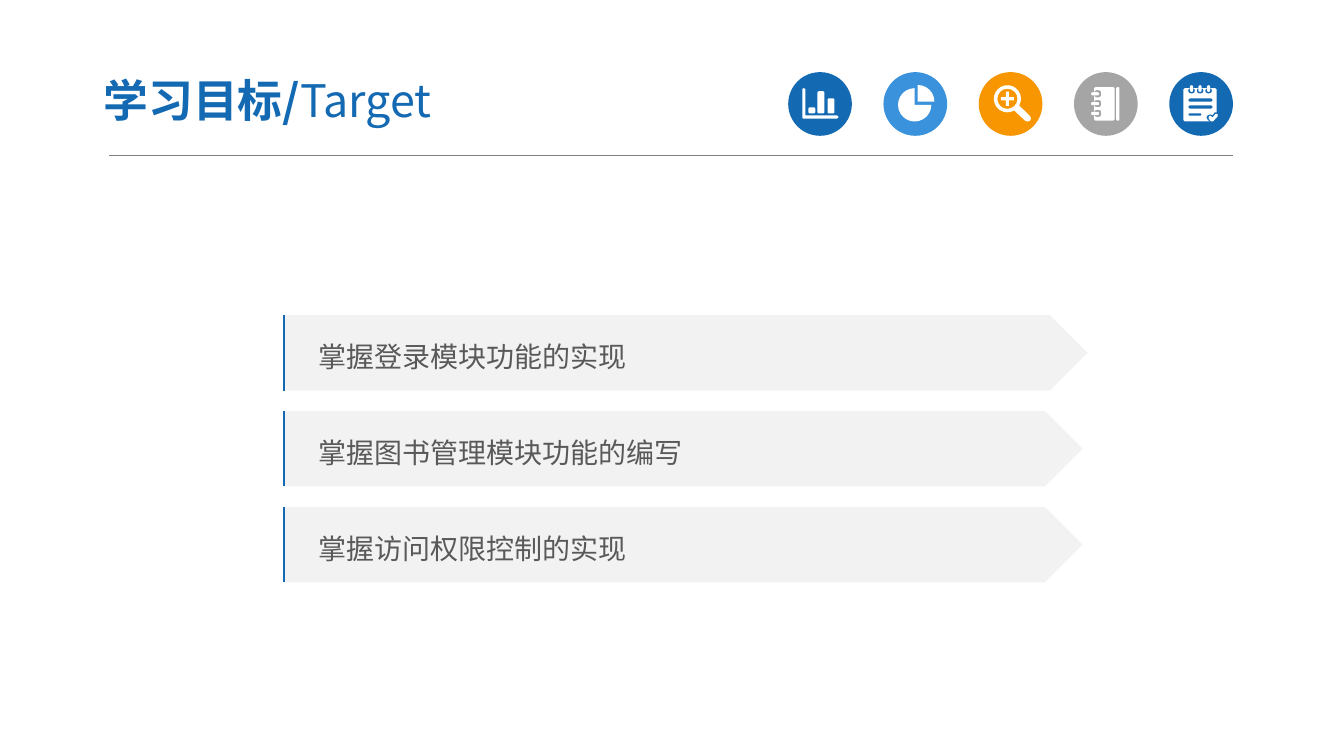
from math import cos, radians, sin

from lxml import etree
from pptx import Presentation
from pptx import util as u
from pptx.dml.color import RGBColor
from pptx.enum import shapes, text
from pptx.oxml.ns import qn

FONT = "Noto Sans CJK SC"
COLOURS = {"blue": "1369B2", "sky": "3992DB", "orange": "F79600", "grey": "A5A5A5",
           "white": "FFFFFF", "panel": "F2F2F2", "body": "595959", "rule": "7F7F7F"}
TITLE = [("学习目标/", True), ("Target", False)]
GOALS = [("掌握登录模块功能的实现", 574.5), ("掌握图书管理模块功能的编写", 571), ("掌握访问权限控制的实现", 571)]

ICON_LEFT, ICON_TOP, ICON_SIZE, ICON_STEP = 563, 51.5, 45.5, 68.05
GOAL_LEFT, GOAL_TOP, GOAL_HEIGHT, GOAL_STEP = 202.3, 225, 54, 68.5


def arc(x, y, radius, start, end, steps):
    angles = [radians(start + (end - start) * step / steps) for step in range(steps + 1)]
    return [(x + radius * cos(angle), y + radius * sin(angle)) for angle in angles]


def box(x, y, width, height, radius):
    right, bottom = x + width - radius, y + height - radius
    corners = [(right, bottom), (x + radius, bottom), (x + radius, y + radius), (right, y + radius)]
    return [point for turn, (a, b) in enumerate(corners)
            for point in arc(a, b, radius, 90 * turn, 90 * turn + 90, 2)]


AXES = [(10.1, 12), (11.2, 11.5), (12.3, 12), (12.3, 31), (35, 31), (36, 32.1), (35, 33.2), (10.8, 33.2), (10.1, 32.5)]
CHART = [AXES, box(14.4, 25.2, 5, 4.3, 1), box(20.9, 13.7, 5, 15.8, 1), box(28.1, 18.7, 5, 10.8, 1)]
PIE = [arc(22.3, 23.4, 11.9, 0, 270, 18) + [(22.3, 23.4)],
       arc(24.5, 21.1, 11.9, 270, 360, 6) + [(24.5, 21.1)]]
HANDLE = [(36.6, 31.4), (37.4, 33.2), (36.6, 34.8), (34.9, 35.4), (33.2, 34.8)]
PLUS = [(15.8, 18), (19.4, 18), (19.4, 14), (21.6, 14), (21.6, 18), (25.2, 18),
        (25.2, 20.2), (21.6, 20.2), (21.6, 24.2), (19.4, 24.2), (19.4, 20.2), (15.8, 20.2)]
MAGNIFIER = [arc(20.5, 19.1, 9.7, 60, 390, 20)[::-1] + arc(20.5, 19.1, 9.7, 60, 60, 1)[:1] + HANDLE[::-1],
             arc(20.5, 19.1, 7.2, 0, 360, 16), PLUS]
NOTEBOOK = [box(14.4, 10.8, 14.6, 23.8, 1), box(30.2, 10.8, 2.3, 23.8, 0.7)]
CHECK = [(34.6, 31.7), (31.3, 35.3), (29.8, 35.3), (28.1, 33.1),
         (28.4, 31.6), (29.5, 31.2), (31, 32.4), (33.1, 29.9), (34.6, 30)]
NOTEPAD = [[(10.1, 12.5), (11.2, 11.5), (32.8, 11.5), (33.9, 12.5), (33.9, 28.8), (32.4, 28.8), (31, 30.8),
            (29.5, 30.2), (27.4, 30.8), (26.6, 32.4), (27.2, 33.8), (28.8, 35.3), (11.2, 35.3), (10.1, 34.2)],
           box(13.7, 18.9, 17.3, 2.3, 1.1), box(13.7, 23.8, 17.3, 2.3, 1.1), box(13.7, 29.5, 9.4, 1.6, 0.8), CHECK]
for ring in range(3):
    NOTEBOOK += [box(14.4, 13 + 7 * ring, 5, 5, 1.5), box(12.2, 14.4 + 7 * ring, 5.8, 2.3, 1.1)]
    NOTEPAD += [box(13.6 + 6.1 * ring, 11.5, 4.7, 3.7, 1.5), box(14.8 + 6.1 * ring, 9.4, 2.3, 4.8, 1.1)]
ICONS = [("blue", CHART), ("sky", PIE), ("orange", MAGNIFIER), ("grey", NOTEBOOK), ("blue", NOTEPAD)]


def colour(name):
    return RGBColor.from_string(COLOURS[name])


def paint(shape, fill):
    shape.shadow.inherit = False
    shape.fill.solid()
    shape.fill.fore_color.rgb = colour(fill)
    shape.line.fill.background()


def add_part(page, kind, left, top, width, height, fill):
    shape = page.shapes.add_shape(kind, u.Pt(left), u.Pt(top), u.Pt(width), u.Pt(height))
    paint(shape, fill)
    return shape


def add_outline(page, left, top, contours, close=True):
    placed = [[(u.Pt(left + x), u.Pt(top + y)) for x, y in contour] for contour in contours]
    builder = page.shapes.build_freeform(*placed[0][0])
    for index, points in enumerate(placed):
        if index:
            builder.move_to(*points[0])
        builder.add_line_segments(points[1:], close=close)
    return builder.convert_to_shape()


def add_rule(page):
    rule = page.shapes.add_connector(shapes.MSO_CONNECTOR.STRAIGHT, u.Pt(78), u.Pt(111.3), u.Pt(880.5), u.Pt(111.3))
    rule.line.color.rgb = colour("rule")
    rule.line.width = u.Pt(0.5)
    etree.SubElement(rule._element.spPr, qn("a:effectLst"))


def set_font(para, size, name):
    para.font.size = u.Pt(size)
    para.font.color.rgb = colour(name)
    para.font.name = FONT
    latin = para.font._element.find(qn("a:latin"))
    latin.addnext(etree.Element(qn("a:ea"), typeface=FONT))


def set_frame(frame, left, top, right, bottom):
    frame.word_wrap = True
    frame.auto_size = text.MSO_AUTO_SIZE.NONE
    frame.vertical_anchor = text.MSO_ANCHOR.MIDDLE
    frame.margin_left, frame.margin_right = u.Pt(left), u.Pt(right)
    frame.margin_top, frame.margin_bottom = u.Pt(top), u.Pt(bottom)


def add_title(page):
    title = page.shapes.title
    title.left, title.top, title.width, title.height = u.Pt(64.4), u.Pt(45.4), u.Pt(376), u.Pt(52)
    set_frame(title.text_frame, 9.5, 5, 9.5, 5)
    para = title.text_frame.paragraphs[0]
    para.alignment = text.PP_ALIGN.LEFT
    set_font(para, 32, "blue")
    for words, bold in TITLE:
        span = para.add_run()
        span.text = words
        span.font.bold = bold


def add_icons(page):
    for index, (fill, contours) in enumerate(ICONS):
        left = ICON_LEFT + index * ICON_STEP
        add_part(page, shapes.MSO_SHAPE.OVAL, left, ICON_TOP, ICON_SIZE, ICON_SIZE, fill)
        paint(add_outline(page, left, ICON_TOP, contours), "white")


def add_goals(page):
    for index, (words, width) in enumerate(GOALS):
        top = GOAL_TOP + index * GOAL_STEP
        banner = add_part(page, shapes.MSO_SHAPE.PENTAGON, GOAL_LEFT, top, width, GOAL_HEIGHT, "panel")
        set_frame(banner.text_frame, 25.2, 3.6, 7.2, 3.6)
        para = banner.text_frame.paragraphs[0]
        para.text = words
        para.alignment = text.PP_ALIGN.LEFT
        para.line_spacing = 1.2
        set_font(para, 20, "body")
        edge = add_outline(page, GOAL_LEFT + 0.7, top, [[(0, GOAL_HEIGHT), (0, 0)]], close=False)
        edge.shadow.inherit = False
        edge.fill.background()
        edge.line.color.rgb = colour("blue")
        edge.line.width = u.Pt(1.5)


def main():
    deck = Presentation()
    deck.slide_width, deck.slide_height = u.Pt(960), u.Pt(540)
    page = deck.slides.add_slide(deck.slide_layouts[5])
    add_rule(page)
    add_icons(page)
    add_title(page)
    add_goals(page)
    deck.save("out.pptx")


if __name__ == "__main__":
    main()
